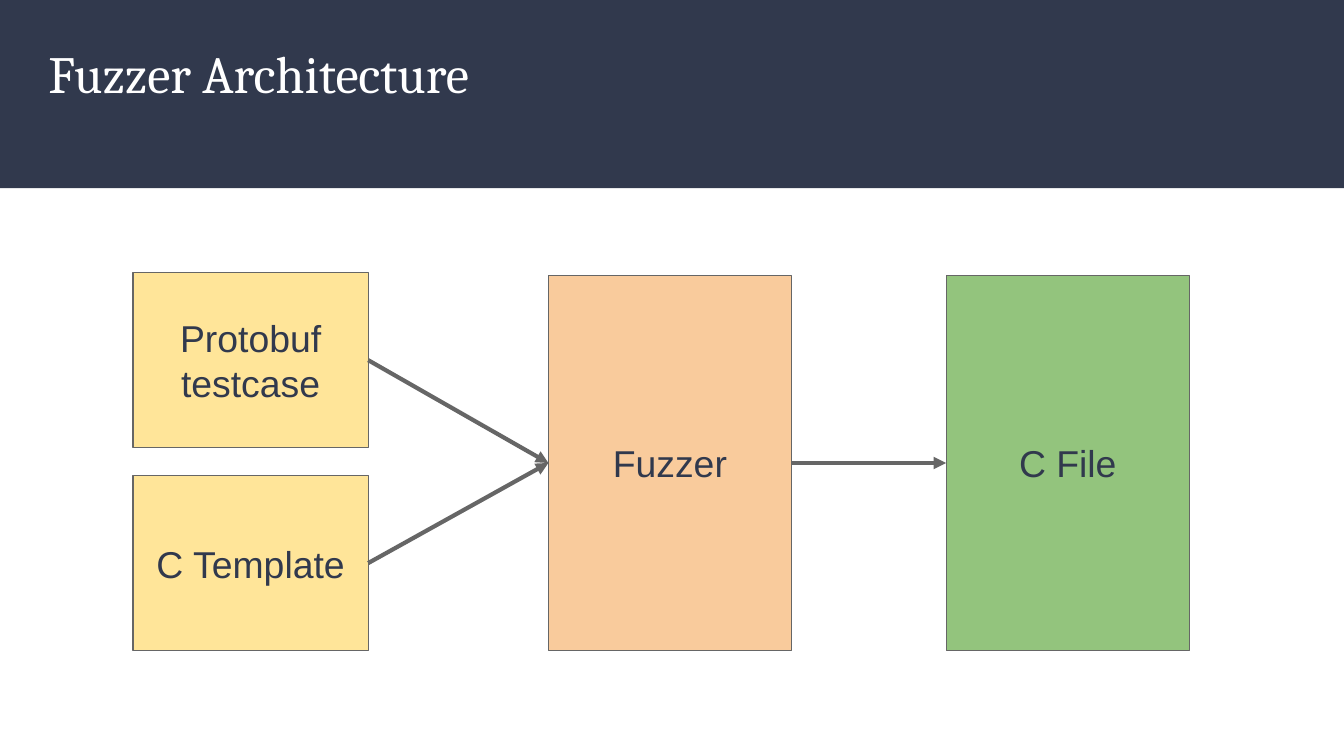
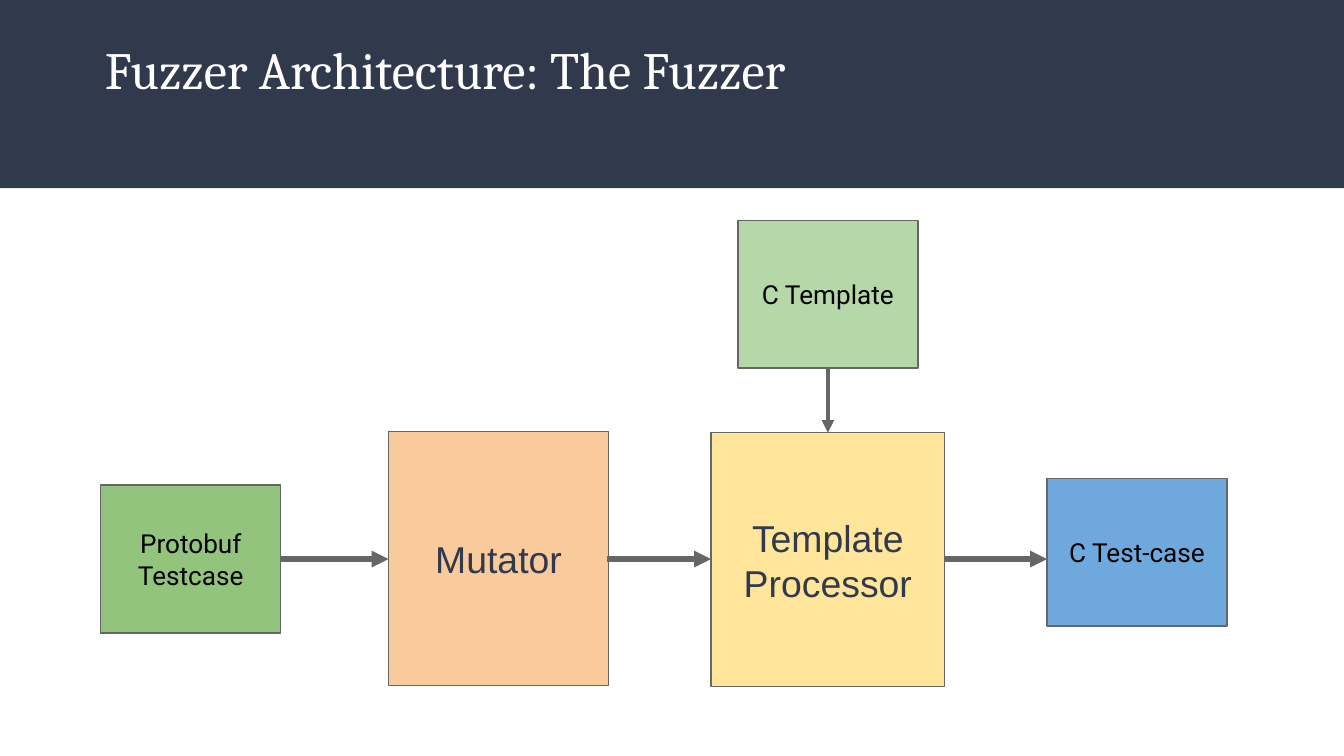
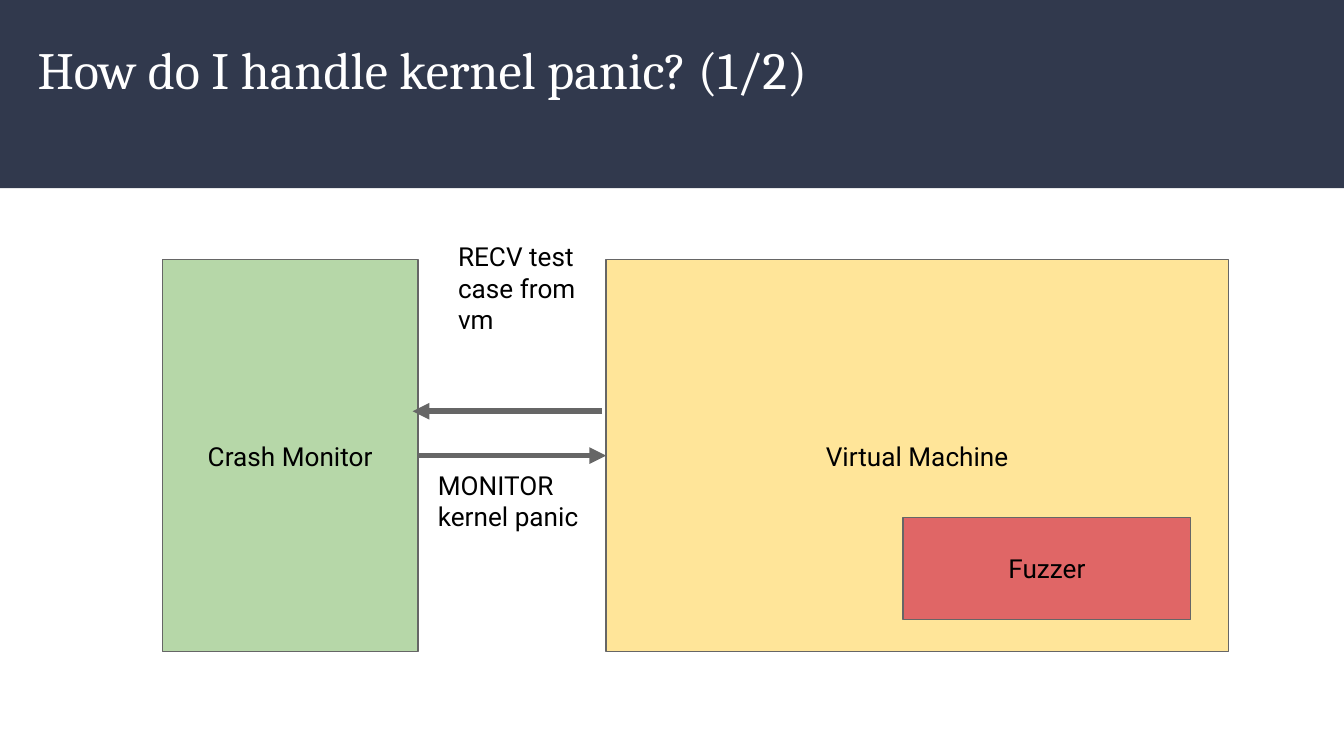
from dataclasses import dataclass

from lxml import etree
from pptx import Presentation
from pptx import util as u
from pptx.dml.color import RGBColor
from pptx.enum import shapes, text
from pptx.oxml import ns


@dataclass(frozen=True)
class Theme:
    navy: str = "31394D"
    gray: str = "666666"
    green: str = "93C47D"
    pale_green: str = "B6D7A8"
    orange: str = "F9CB9C"
    yellow: str = "FFE599"
    blue: str = "6FA8DC"
    red: str = "E06666"
    outline: float = 0.75
    thin_arrow: float = 2.25
    thick_arrow: float = 3
    title: tuple = ("Cambria", 28, "FFFFFF")
    large: tuple = ("Arial", 20, "31394D")
    small: tuple = ("Roboto", 14, "000000")


THEME = Theme()
TOP, LEFT, BOTTOM, RIGHT = range(4)


def inches(*lengths):
    return [u.Inches(length) for length in lengths]


def colour(value):
    return RGBColor.from_string(value)


def write(frame, words, style, align=text.PP_ALIGN.LEFT, anchor=text.MSO_ANCHOR.TOP):
    frame.word_wrap = True
    frame.auto_size = text.MSO_AUTO_SIZE.NONE
    frame.vertical_anchor = anchor
    frame.margin_left = frame.margin_right = u.Inches(0.1)
    frame.margin_top = frame.margin_bottom = u.Inches(0.1)
    para = frame.paragraphs[0]
    para.alignment = align
    span = para.add_run()
    span.text = words
    name, size, tint = style
    span.font.name = name
    span.font.size = u.Pt(size)
    span.font.color.rgb = colour(tint)
    return para


def add_band(deck, layout, page):
    band = page.shapes.add_shape(
        shapes.MSO_SHAPE.RECTANGLE, 0, 0, deck.slide_width, u.Inches(1.4)
    )
    band.shadow.inherit = False
    band.fill.solid()
    band.fill.fore_color.rgb = colour(THEME.navy)
    band.line.fill.background()
    layout.shapes._spTree.insert(2, band._element)


def add_page(deck, words, left=0.18, top=0.18, indent=0):
    layout = deck.slide_layouts.get_by_name("Title Only")
    page = deck.slides.add_slide(layout)
    if len(deck.slides) == 1:
        add_band(deck, layout, page)
    title = page.shapes.title
    title.left, title.top, title.width, title.height = inches(left, top, 9.32, 0.86)
    para = write(title.text_frame, words, THEME.title)
    if indent:
        para._p.get_or_add_pPr().set("indent", str(u.Inches(indent)))
    return page


def add_block(page, words, at, fill, style=THEME.small):
    block = page.shapes.add_shape(shapes.MSO_SHAPE.RECTANGLE, *inches(*at))
    block.shadow.inherit = False
    block.fill.solid()
    block.fill.fore_color.rgb = colour(fill)
    block.line.color.rgb = colour(THEME.gray)
    block.line.width = u.Pt(THEME.outline)
    write(block.text_frame, words, style, text.PP_ALIGN.CENTER, text.MSO_ANCHOR.MIDDLE)
    return block


def add_label(page, words, at):
    box = page.shapes.add_textbox(*inches(*at))
    write(box.text_frame, words, THEME.small)


def add_arrow(page, width, start=(0, 0), end=(0, 0)):
    arrow = page.shapes.add_connector(
        shapes.MSO_CONNECTOR.STRAIGHT, *inches(*start, *end)
    )
    arrow.line.color.rgb = colour(THEME.gray)
    arrow.line.width = u.Pt(width)
    etree.SubElement(arrow.line._get_or_add_ln(), ns.qn("a:tailEnd"), type="triangle")
    etree.SubElement(arrow._element.spPr, ns.qn("a:effectLst"))
    return arrow


def join(page, source, target, width, sides=(RIGHT, LEFT)):
    arrow = add_arrow(page, width)
    arrow.begin_connect(source, sides[0])
    arrow.end_connect(target, sides[1])


def architecture_page(deck):
    page = add_page(deck, "Fuzzer Architecture", 0.26, 0.21)
    c_file = add_block(
        page, "C File", (7.04, 2.05, 1.81, 2.79), THEME.green, THEME.large
    )
    fuzzer = add_block(
        page, "Fuzzer", (4.08, 2.05, 1.81, 2.79), THEME.orange, THEME.large
    )
    inputs = [
        add_block(page, words, (0.99, top, 1.75, 1.3), THEME.yellow, THEME.large)
        for words, top in (("C Template", 3.54), ("Protobuf testcase", 2.03))
    ]
    for source in reversed(inputs):
        join(page, source, fuzzer, THEME.thin_arrow)
    join(page, fuzzer, c_file, THEME.thin_arrow)


def fuzzer_page(deck):
    page = add_page(deck, "Fuzzer Architecture: The Fuzzer", indent=0.5)
    add_block(page, "Mutator", (2.89, 3.21, 1.64, 1.89), THEME.orange, THEME.large)
    processor = add_block(
        page, "Template Processor", (5.29, 3.22, 1.74, 1.89), THEME.yellow, THEME.large
    )
    add_block(page, "Protobuf Testcase", (0.75, 3.61, 1.34, 1.1), THEME.green)
    template = add_block(
        page, "C Template", (5.49, 1.64, 1.34, 1.1), THEME.pale_green
    )
    add_block(page, "C Test-case", (7.79, 3.56, 1.34, 1.1), THEME.blue)
    flow = 4.16
    for start, end in ((2.08, 2.89), (4.52, 5.29), (7.03, 7.79)):
        add_arrow(page, THEME.thick_arrow, (start, flow), (end, flow))
    join(page, template, processor, THEME.thin_arrow, (BOTTOM, TOP))


def kernel_panic_page(deck):
    page = add_page(deck, "How do I handle kernel panic? (1/2)")
    monitor = add_block(
        page, "Crash Monitor", (1.21, 1.93, 1.9, 2.92), THEME.pale_green
    )
    machine = add_block(
        page, "Virtual Machine", (4.51, 1.93, 4.63, 2.92), THEME.yellow
    )
    join(page, monitor, machine, THEME.thick_arrow)
    add_arrow(page, THEME.thick_arrow, (4.48, 3.06), (3.07, 3.06))
    add_label(page, "RECV test case from vm", (3.31, 1.69, 1.1, 1.26))
    add_label(page, "MONITOR kernel panic", (3.16, 3.39, 1.3, 0.86))
    add_block(page, "Fuzzer", (6.72, 3.85, 2.14, 0.76), THEME.red)


def main():
    deck = Presentation()
    deck.slide_width = u.Inches(10)
    deck.slide_height = deck.slide_width * 9 // 16
    architecture_page(deck)
    fuzzer_page(deck)
    kernel_panic_page(deck)
    deck.save("out.pptx")


if __name__ == "__main__":
    main()
